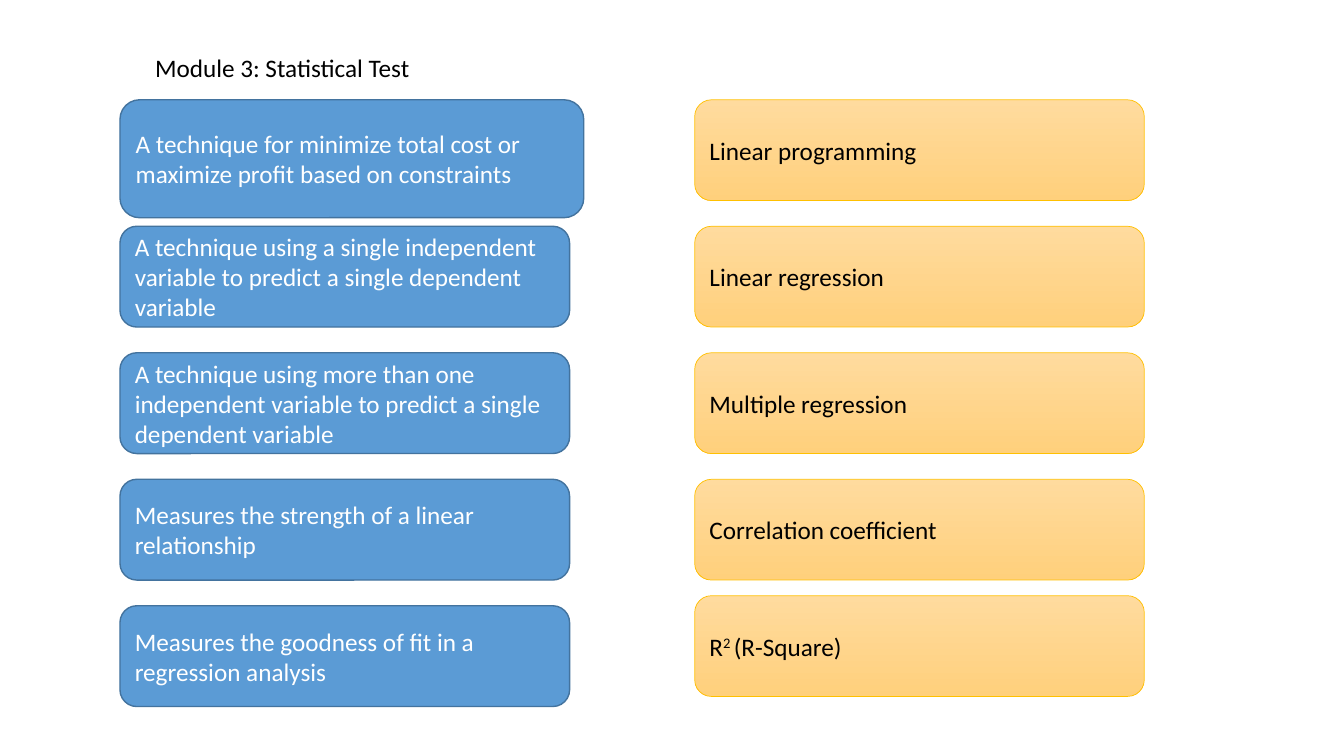
from dataclasses import dataclass

import pptx
import pptx.dml.color
import pptx.dml.fill
import pptx.enum.shapes
import pptx.enum.text
import pptx.shapes.autoshape
import pptx.slide
import pptx.text.text
import pptx.util

Inches = pptx.util.Inches
Pt = pptx.util.Pt

FIRST_TOP = 0.99
ROW_PITCH = 1.255
DEFINITION_LEFT = 1.19
TERM_LEFT = 6.89
BOX_WIDTH = 4.46
BOX_HEIGHT = 1.0


@dataclass
class Card:
    text: str
    width: float = BOX_WIDTH
    height: float = BOX_HEIGHT
    shift: float = 0.0
    superscript: str = ""
    suffix: str = ""


@dataclass
class CardStyle:
    fills: tuple[str, ...]
    line: str
    line_width: float
    text: str


DEFINITION_STYLE = CardStyle(("5B9BD5",), "43739E", 1, "FFFFFF")
TERM_STYLE = CardStyle(("FFDB9E", "FFD07C"), "FFC000", 0.5, "000000")

DEFINITIONS = [
    Card("A technique for minimize total cost or maximize profit based on constraints",
         width=4.6, height=1.17),
    Card("A technique using a single independent variable to predict a single dependent variable"),
    Card("A technique using more than one independent variable to predict a single dependent variable"),
    Card("Measures the strength of a linear relationship"),
    Card("Measures the goodness of fit in a regression analysis"),
]
TERMS = [
    Card("Linear programming"),
    Card("Linear regression"),
    Card("Multiple regression"),
    Card("Correlation coefficient"),
    Card("R", shift=-0.1, superscript="2 ", suffix="(R-Square)"),
]


def color(value: str) -> pptx.dml.color.RGBColor:
    return pptx.dml.color.RGBColor.from_string(value)


def format_runs(paragraph: pptx.text.text._Paragraph, text_color: str) -> None:
    paragraph.alignment = pptx.enum.text.PP_ALIGN.LEFT
    for run in paragraph.runs:
        run.font.name = "Calibri"
        run.font.size = Pt(18)
        run.font.color.rgb = color(text_color)


def apply_fill(fill: pptx.dml.fill.FillFormat, colors: tuple[str, ...]) -> None:
    """Fill solidly with one color, or from top to bottom with two."""
    if len(colors) == 1:
        fill.solid()
        fill.fore_color.rgb = color(colors[0])
        return
    fill.gradient()
    fill.gradient_angle = 270
    for stop, position, value in zip(fill.gradient_stops, (0, 1), colors):
        stop.position = position
        stop.color.rgb = color(value)


def add_card(slide: pptx.slide.Slide, card: Card, style: CardStyle,
             left: float, top: float) -> None:
    shape = slide.shapes.add_shape(
        pptx.enum.shapes.MSO_SHAPE.ROUNDED_RECTANGLE,
        Inches(left), Inches(top), Inches(card.width), Inches(card.height))
    shape.shadow.inherit = False
    apply_fill(shape.fill, style.fills)
    shape.line.color.rgb = color(style.line)
    shape.line.width = Pt(style.line_width)

    text_frame = shape.text_frame
    text_frame.word_wrap = True
    text_frame.vertical_anchor = pptx.enum.text.MSO_ANCHOR.MIDDLE
    text_frame.text = card.text
    paragraph = text_frame.paragraphs[0]
    if card.superscript:
        run = paragraph.add_run()
        run.text = card.superscript
        run._r.get_or_add_rPr().set("baseline", "30000")
        paragraph.add_run().text = card.suffix
    format_runs(paragraph, style.text)


def add_column(slide: pptx.slide.Slide, cards: list[Card], style: CardStyle, left: float) -> None:
    for row, card in enumerate(cards):
        add_card(slide, card, style, left, FIRST_TOP + row * ROW_PITCH + card.shift)


def add_heading(slide: pptx.slide.Slide, text: str) -> None:
    heading = slide.shapes.add_textbox(Inches(1.44), Inches(0.47), Inches(2.76), Inches(0.4))
    text_frame = heading.text_frame
    text_frame.word_wrap = False
    text_frame.auto_size = pptx.enum.text.MSO_AUTO_SIZE.SHAPE_TO_FIT_TEXT
    text_frame.text = text
    format_runs(text_frame.paragraphs[0], "000000")


def main() -> None:
    presentation = pptx.Presentation()
    presentation.slide_width = Inches(13.33)
    presentation.slide_height = Inches(7.5)
    slide = presentation.slides.add_slide(presentation.slide_layouts[6])
    add_heading(slide, "Module 3: Statistical Test")
    add_column(slide, DEFINITIONS, DEFINITION_STYLE, DEFINITION_LEFT)
    add_column(slide, TERMS, TERM_STYLE, TERM_LEFT)
    presentation.save("out.pptx")


if __name__ == "__main__":
    main()
